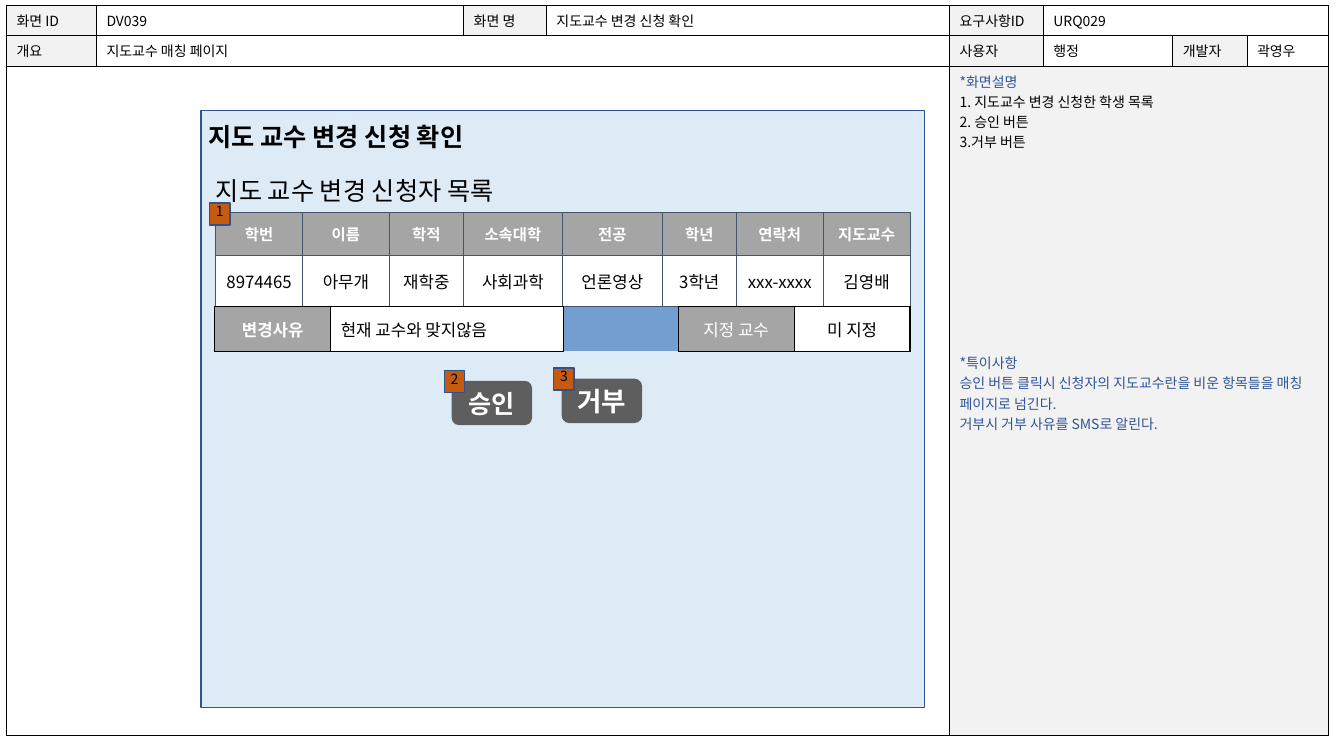
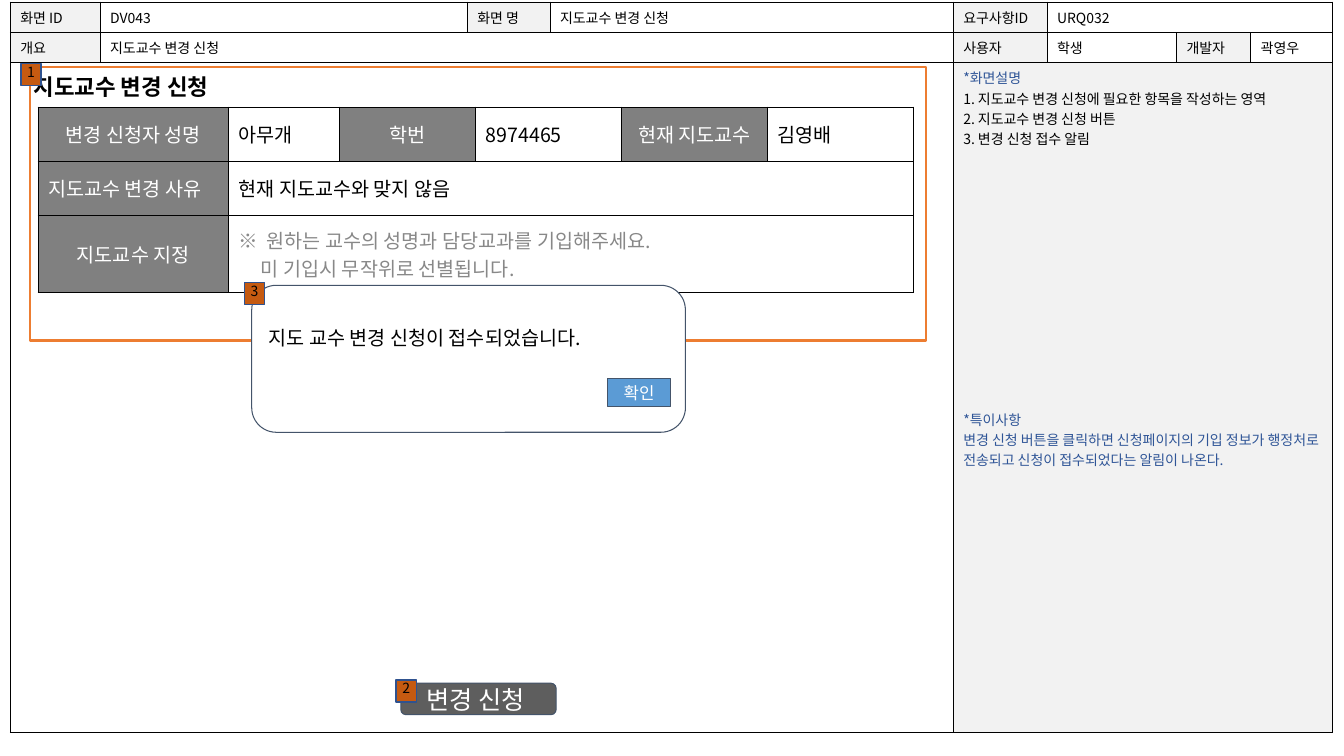
from lxml import etree
from pptx import Presentation
from pptx.dml.color import RGBColor
from pptx.enum.shapes import MSO_SHAPE
from pptx.enum.text import MSO_ANCHOR, MSO_AUTO_SIZE, PP_ALIGN
from pptx.oxml.ns import qn
from pptx.util import Pt

RECT, ROUND = MSO_SHAPE.RECTANGLE, MSO_SHAPE.ROUNDED_RECTANGLE
TOP, MIDDLE = MSO_ANCHOR.TOP, MSO_ANCHOR.MIDDLE
LEFT, CENTER = PP_ALIGN.LEFT, PP_ALIGN.CENTER

FONT = "Noto Sans CJK KR"
BLACK = RGBColor(0x00, 0x00, 0x00)
WHITE = RGBColor(0xFF, 0xFF, 0xFF)
PALE = RGBColor(0xF2, 0xF2, 0xF2)
NOTE_BLUE = RGBColor(0x2F, 0x55, 0x97)
PANEL_BLUE = RGBColor(0xDD, 0xEB, 0xF7)
PANEL_EDGE = RGBColor(0x31, 0x53, 0x8F)
OK_BLUE = RGBColor(0x5B, 0x9B, 0xD5)
SLATE = RGBColor(0x44, 0x54, 0x6A)
LIST_GRAY = RGBColor(0xA5, 0xA5, 0xA5)
FORM_GRAY = RGBColor(0x80, 0x80, 0x80)
HINT_GRAY = RGBColor(0x88, 0x88, 0x88)
BUTTON_GRAY = RGBColor(0x5E, 0x5E, 0x5E)
BADGE = RGBColor(0xC5, 0x5A, 0x11)
BADGE_EDGE = RGBColor(0x2F, 0x52, 0x8F)
ORANGE = RGBColor(0xED, 0x7D, 0x31)

FRAME_COLS = [64.2, 262.3, 59.1, 288, 67, 92.5, 53, 58.5]
FRAME_ROWS = [21.7, 21.7, 478]
LINE_PITCH = 14.34


def write(target, lines, size=10, color=BLACK, bold=False, align=LEFT,
          inset=(7.2, 7.2, 7.2, 7.2), anchor=MIDDLE):
    """Fill a text frame or a table cell; a line is text or (text, options)."""
    for side, value in zip(("left", "top", "right", "bottom"), inset):
        setattr(target, "margin_" + side, Pt(value))
    target.vertical_anchor = anchor
    target.word_wrap = True
    tf = getattr(target, "text_frame", target)
    for i, line in enumerate([lines] if isinstance(lines, str) else lines):
        text, opts = (line, {}) if isinstance(line, str) else line
        p = tf.paragraphs[0] if i == 0 else tf.add_paragraph()
        pPr = p._p.get_or_add_pPr()
        if "margin" in opts:
            pPr.set("marL", str(Pt(opts["margin"])))
            pPr.set("indent", str(Pt(opts.get("indent", 0))))
        if "bullet" in opts:
            etree.SubElement(pPr, qn("a:buFont"), typeface=FONT)
            etree.SubElement(pPr, qn("a:buChar"), char=opts["bullet"])
        p.alignment = align
        if "before" in opts:
            p.space_before = Pt(opts["before"])
        r = p.add_run()
        r.text = text
        for name, value in {"size": Pt(size), "bold": bold, "name": FONT}.items():
            setattr(r.font, name, value)
        r.font.color.rgb = opts.get("color", color)
        etree.SubElement(r._r.get_or_add_rPr(), qn("a:ea"), typeface=FONT)


def box(s, kind, rect, fill=None, line=None, width=0.75):
    """Add a flat preset shape."""
    sp = s.shapes.add_shape(kind, *map(Pt, rect))
    sp.shadow.inherit = False
    if fill is None:
        sp.fill.background()
    else:
        sp.fill.solid()
        sp.fill.fore_color.rgb = fill
    if line is None:
        sp.line.fill.background()
    else:
        sp.line.color.rgb = line
        sp.line.width = Pt(width)
    return sp


prs = Presentation()
prs.slide_width, prs.slide_height = Pt(960), Pt(540)

SCREENS = [
    {"at": (4.7, 3.9), "id": "DV039", "name": "지도교수 변경 신청 확인", "req": "URQ029",
     "summary": "지도교수 매칭 페이지", "user": "행정", "gap": 10,
     "steps": ["1. 지도교수 변경 신청한 학생 목록", "2. 승인 버튼", "3.거부 버튼"],
     "remarks": ["승인 버튼 클릭시 신청자의 지도교수란을 비운 항목들을 매칭 페이지로 넘긴다.",
                 "거부시 거부 사유를 SMS로 알린다."],
     "title": "지도 교수 변경 신청 확인", "title_at": (149, 83, 224, 29.5), "title_size": 18},
    {"at": (7.3, 1.5), "id": "DV043", "name": "지도교수 변경 신청", "req": "URQ032",
     "summary": "지도교수 변경 신청", "user": "학생", "gap": 13,
     "steps": ["1. 지도교수 변경 신청에 필요한 항목을 작성하는 영역",
               "2. 지도교수 변경 신청 버튼", "3. 변경 신청 접수 알림"],
     "remarks": ["변경 신청 버튼을 클릭하면 신청페이지의 기입 정보가 행정처로 전송되고 "
                 "신청이 접수되었다는 알림이 나온다."],
     "title": "지도교수 변경 신청", "title_at": (24, 47, 151, 29.5), "title_size": 16},
]

# Tables: slide, position, columns, rows, border, cells (row, col, span, text, fill, format)
grids = []
frame_fmt = {"inset": (7.2, 3.6, 7.2, 3.6), "anchor": TOP}
for i, sc in enumerate(SCREENS):
    notes = [("*화면설명", {"color": NOTE_BLUE})]
    notes += [(step, {"margin": 18, "indent": -18}) for step in sc["steps"]]
    notes.append(("*특이사항", {"color": NOTE_BLUE, "before": sc["gap"] * LINE_PITCH}))
    notes += [(remark, {"color": NOTE_BLUE}) for remark in sc["remarks"]]
    fields = [
        (0, 0, 1, "화면 ID", PALE), (0, 1, 1, sc["id"], WHITE),
        (0, 2, 1, "화면 명", PALE), (0, 3, 1, sc["name"], WHITE),
        (0, 4, 1, "요구사항ID", PALE), (0, 5, 3, sc["req"], WHITE),
        (1, 0, 1, "개요", PALE), (1, 1, 3, sc["summary"], WHITE),
        (1, 4, 1, "사용자", PALE), (1, 5, 1, sc["user"], WHITE),
        (1, 6, 1, "개발자", PALE), (1, 7, 1, "곽영우", WHITE),
        (2, 0, 4, None, WHITE), (2, 4, 4, notes, PALE),
    ]
    grids.append((i, sc["at"], FRAME_COLS, FRAME_ROWS, BLACK, 0.75,
                  [f + (frame_fmt,) for f in fields]))

# Applicant list
head = {"size": 11, "color": WHITE, "bold": True, "align": CENTER}
body = {"size": 12, "align": CENTER}
labels = ["학번", "이름", "학적", "소속대학", "전공", "학년", "연락처", "지도교수"]
values = ["8974465", "아무개", "재학중", "사회과학", "언론영상", "3학년", "xxx-xxxx", "김영배"]
grids.append((0, (154.1, 151.8), [62, 62, 53, 70.7, 71.3, 53, 62, 62], [30, 37], SLATE, 0.75,
              [(0, c, 1, t, LIST_GRAY, head) for c, t in enumerate(labels)]
              + [(1, c, 1, t, WHITE, body) for c, t in enumerate(values)]))

# Reason and assigned professor
grids.append((0, (153.4, 219.2), [82.8, 82.8, 83.5, 82, 82.8, 82.8], [31.8], BLACK, 1, [
    (0, 0, 1, "변경사유", LIST_GRAY, {**head, "size": 12}),
    (0, 1, 2, "현재 교수와 맞지않음", WHITE, {"size": 12}),
    (0, 3, 1, "지정 교수", LIST_GRAY, {**body, "color": WHITE}),
    (0, 4, 2, "미 지정", WHITE, body),
]))

# Request form
label = {"size": 14, "color": WHITE, "align": CENTER}
entry = {"size": 14}
hint = [("원하는 교수의 성명과 담당교과를 기입해주세요.",
         {"margin": 20, "indent": -20, "bullet": "※"}),
        ("미 기입시 무작위로 선별됩니다.", {"margin": 16})]
grids.append((1, (27.2, 76.5), [136, 79, 97.5, 104.3, 104.3, 104.3], [38.6, 38.6, 55],
              BLACK, 0.75, [
    (0, 0, 1, "변경 신청자 성명", FORM_GRAY, label), (0, 1, 1, "아무개", WHITE, entry),
    (0, 2, 1, "학번", FORM_GRAY, label), (0, 3, 1, "8974465", WHITE, entry),
    (0, 4, 1, "현재 지도교수", FORM_GRAY, label), (0, 5, 1, "김영배", WHITE, entry),
    (1, 0, 1, "지도교수 변경 사유", FORM_GRAY, {**label, "align": LEFT}),
    (1, 1, 5, "현재 지도교수와 맞지 않음", WHITE, entry),
    (2, 0, 1, "지도교수 지정", FORM_GRAY, label),
    (2, 1, 5, hint, WHITE, {"size": 14, "color": HINT_GRAY}),
]))

slides = [prs.slides.add_slide(prs.slide_layouts[5]) for sc in SCREENS]
tables = []
for index, at, cols, rows, edge, width, cells in grids:
    gf = slides[index].shapes.add_table(len(rows), len(cols), *map(Pt, at),
                                        Pt(sum(cols)), Pt(sum(rows)))
    tables.append(gf)
    tbl = gf.table
    tbl.first_row = tbl.horz_banding = False
    for column, w in zip(tbl.columns, cols):
        column.width = Pt(w)
    for row, h in zip(tbl.rows, rows):
        row.height = Pt(h)
    for row, col, span, text, fill, fmt in cells:
        for c in range(col, col + span):
            tcPr = tbl.cell(row, c)._tc.get_or_add_tcPr()
            for side in ("L", "R", "T", "B"):
                ln = etree.SubElement(tcPr, qn("a:ln" + side), w=str(Pt(width)))
                paint = etree.SubElement(ln, qn("a:solidFill"))
                etree.SubElement(paint, qn("a:srgbClr"), val=str(edge))
        cell = tbl.cell(row, col)
        if span > 1:
            cell.merge(tbl.cell(row, col + span - 1))
        cell.fill.solid()
        cell.fill.fore_color.rgb = fill
        if text:
            write(cell, text, **fmt)

# Page panel and titles, stacked just above the frames
panel = box(slides[0], RECT, (143.5, 79, 517, 426.4), PANEL_BLUE, PANEL_EDGE, 1)
tables[0].element.addnext(panel.element)
for s, sc, below in zip(slides, SCREENS, (panel, tables[1])):
    title = s.shapes.title
    below.element.addnext(title.element)
    title.left, title.top, title.width, title.height = map(Pt, sc["title_at"])
    title.text_frame.auto_size = MSO_AUTO_SIZE.NONE
    write(title.text_frame, sc["title"], size=sc["title_size"], bold=True, inset=(0, 0, 0, 0))

# List heading
tb = slides[0].shapes.add_textbox(Pt(154.2), Pt(121), Pt(238), Pt(29.5))
write(tb.text_frame, "지도 교수 변경 신청자 목록", size=18, inset=(0, 0, 0, 0))

# Form outline, buttons and alert
box(slides[1], RECT, (21.5, 47.8, 640, 195.5), None, ORANGE, 1.75)
button = {"size": 18, "color": WHITE, "align": CENTER}
for index, kind, rect, fill, edge, text, fmt in [
    (0, ROUND, (322.6, 272, 57.5, 31.7), BUTTON_GRAY, None, "승인", {**button, "bold": True}),
    (0, ROUND, (401.2, 270.5, 57.5, 31.7), BUTTON_GRAY, None, "거부",
     {**button, "bold": True, "size": 19}),
    (1, ROUND, (286.3, 488, 111, 22.5), BUTTON_GRAY, SLATE, "변경 신청",
     {**button, "inset": (7.2, 7.2, 11.4, 7.2)}),
    (1, ROUND, (179.8, 203.8, 309.8, 105), WHITE, SLATE, "지도 교수 변경 신청이 접수되었습니다.",
     {"size": 14, "anchor": TOP, "inset": (7.2, 24, 7.2, 7.2)}),
    (1, RECT, (434, 270.2, 45, 20.2), OK_BLUE, SLATE, "확인", {**button, "size": 12}),
]:
    write(box(slides[index], kind, rect, fill, edge).text_frame, text, **fmt)

# Numbered badges
for s, spots in zip(slides, [[(149.8, 145), (317.5, 264.7), (395.6, 262.8)],
                             [(15, 45.4), (283, 485.7), (174.6, 201.7)]]):
    for number, spot in enumerate(spots, 1):
        sp = box(s, RECT, spot + (14.4, 15.8), BADGE, BADGE_EDGE, 1)
        write(sp.text_frame, str(number), align=CENTER, inset=(0, 0, 0, 0), anchor=TOP)

prs.save("out.pptx")
